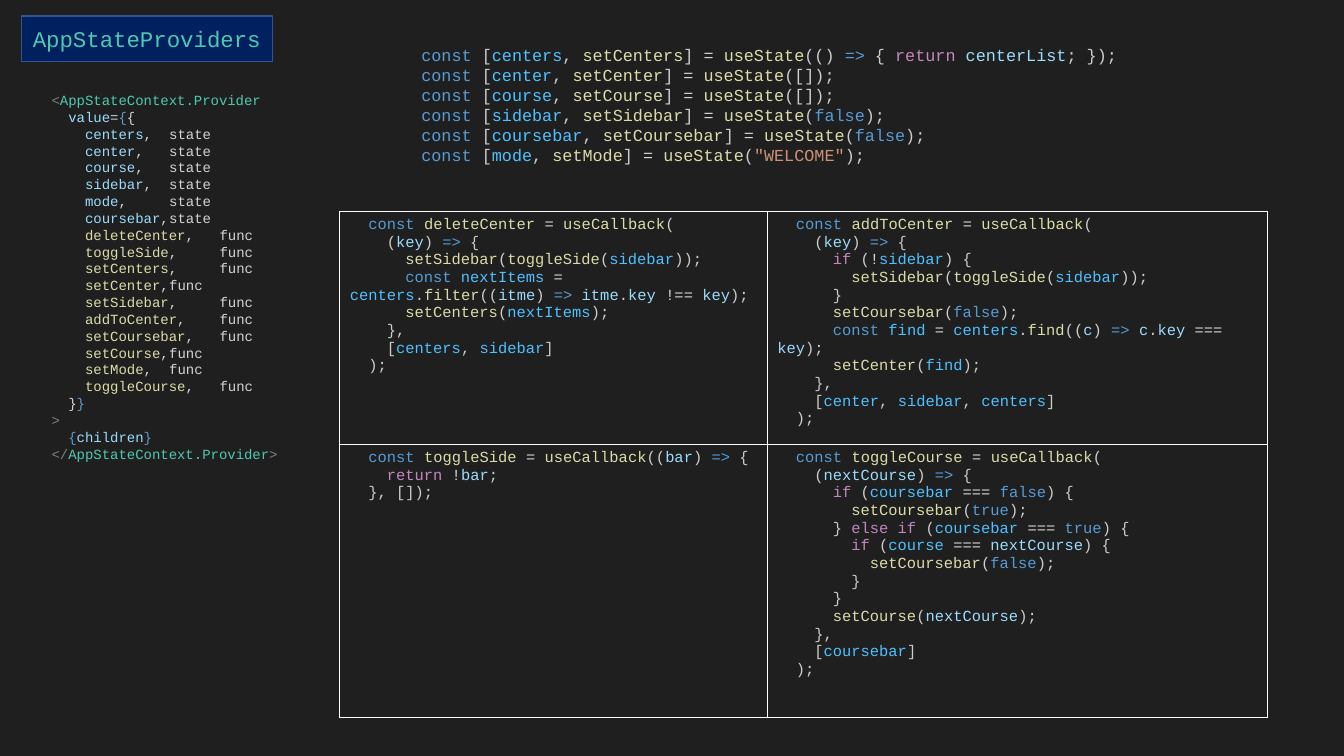
from itertools import groupby
from lxml.etree import SubElement
from pptx import Presentation
from pptx.dml.color import RGBColor
from pptx.enum.shapes import MSO_SHAPE
from pptx.enum.text import MSO_ANCHOR, MSO_AUTO_SIZE, PP_ALIGN
from pptx.oxml import parse_xml
from pptx.oxml.ns import nsdecls, qn
from pptx.util import Inches, Pt

rgb = RGBColor.from_string
PLAIN, PALE, GREY, BLUE = "CCCCCC", "D4D4D4", "808080", "569CD6"
SKY, CYAN, SAND, TEAL = "9CDCFE", "4FC1FF", "DCDCAA", "4EC9B0"

# Colour of each word in the code
groups = {
    BLUE: "const => true false",
    "C586C0": "return if else",
    PALE: "= === !== !",
    "CE9178": '"WELCOME"',
    SKY: "key itme c bar nextCourse centerList",
    CYAN: "centers center course sidebar coursebar mode nextItems find",
    SAND: "setCenters setCenter setCourse setSidebar setCoursebar setMode useState "
          "useCallback deleteCenter addToCenter toggleSide toggleCourse filter",
}
hues = {word: hue for hue, words in groups.items() for word in words.split()}


def lex(code):
    """Split each line into its indent and coloured runs."""
    rows = []
    for line in code.strip("\n").split("\n"):
        body = line.lstrip()
        runs, last = [], ""
        for _, part in groupby(body, lambda ch: 1 if ch.isalnum() or ch == '"' else 2 if ch in "=!>" else 3):
            word = "".join(part)
            called = word == "find" and last.endswith(".")
            runs.append((word, SAND if called else hues.get(word, PLAIN)))
            last = word
        rows.append((len(line) - len(body), runs))
    return rows


def write(frame, rows, size, stop=None):
    """Fill a frame with code; one indent step is one letter wide."""
    for i, (step, runs) in enumerate(rows):
        para = frame.paragraphs[0] if i == 0 else frame.add_paragraph()
        props = para._p.get_or_add_pPr()
        props.set("marL", "0")
        props.set("indent", str(int(Pt(size) * 0.6 * step)))
        if stop:
            tabs = SubElement(props, qn("a:tabLst"))
            SubElement(tabs, qn("a:tab"), pos=str(stop), algn="r")
        for text, hue in runs:
            run = para.add_run()
            run.text = text
            run.font.name, run.font.size = "Courier New", Pt(size)
            run.font.color.rgb = rgb(hue)


deck = Presentation()
deck.slide_width, deck.slide_height = Inches(13.33), Inches(7.5)
wide, high = deck.slide_width / 100, deck.slide_height / 100
slide = deck.slides.add_slide(deck.slide_layouts[6])
slide.background.fill.solid()
slide.background.fill.fore_color.rgb = rgb("1F1F1F")

# Title
title = slide.shapes.add_shape(MSO_SHAPE.RECTANGLE, int(1.58 * wide), int(2.13 * high),
                               int(18.68 * wide), int(6 * high))
title.shadow.inherit = False
title.fill.solid()
title.fill.fore_color.rgb = rgb("002060")
title.line.color.rgb = rgb("325491")
title.line.width = Pt(1)
title.text_frame.vertical_anchor = MSO_ANCHOR.MIDDLE
write(title.text_frame, [(0, [("AppStateProviders", TEAL)])], 16)
title.text_frame.paragraphs[0].alignment = PP_ALIGN.CENTER

# Provider panel: state names, then function names
states = "centers center course sidebar mode coursebar"
funcs = ("deleteCenter toggleSide setCenters setCenter setSidebar addToCenter "
         "setCoursebar setCourse setMode toggleCourse")
values = [(8, [(name, hue), (",\t" + kind, PALE)])
          for names, hue, kind in [(states, SKY, "state"), (funcs, SAND, "func")]
          for name in names.split()]
tag = ("AppStateContext.Provider", TEAL)
panel = [
    (4, [("<", GREY), tag]),
    (6, [("value", SKY), ("=", PALE), ("{", BLUE), ("{", PALE)]),
    *values,
    (6, [("}", PALE), ("}", BLUE)]),
    (4, [(">", GREY)]),
    (6, [("{", BLUE), ("children", SKY), ("}", BLUE)]),
    (4, [("</", GREY), tag, (">", GREY)]),
]

# State hooks
hooks = lex("""
  const [centers, setCenters] = useState(() => { return centerList; });
  const [center, setCenter] = useState([]);
  const [course, setCourse] = useState([]);
  const [sidebar, setSidebar] = useState(false);
  const [coursebar, setCoursebar] = useState(false);
  const [mode, setMode] = useState("WELCOME");
""")

for x, y, w, h, rows, size, stop in [
    (0.6, 11.47, 22.66, 50.67, panel, 10, Inches(2.42)),
    (29.11, 5.2, 56.56, 17.47, hooks, 12, None),
]:
    box = slide.shapes.add_textbox(int(x * wide), int(y * high), int(w * wide), int(h * high))
    box.text_frame.word_wrap = True
    box.text_frame.auto_size = MSO_AUTO_SIZE.SHAPE_TO_FIT_TEXT
    write(box.text_frame, rows, size, stop)

# Callback table
calls = ["""
  const deleteCenter = useCallback(
    (key) => {
      setSidebar(toggleSide(sidebar));
      const nextItems = centers.filter((itme) => itme.key !== key);
      setCenters(nextItems);
    },
    [centers, sidebar]
  );
""", """
  const addToCenter = useCallback(
    (key) => {
      if (!sidebar) {
        setSidebar(toggleSide(sidebar));
      }
      setCoursebar(false);
      const find = centers.find((c) => c.key === key);
      setCenter(find);
    },
    [center, sidebar, centers]
  );
""", """
  const toggleSide = useCallback((bar) => {
    return !bar;
  }, []);
""", """
  const toggleCourse = useCallback(
    (nextCourse) => {
      if (coursebar === false) {
        setCoursebar(true);
      } else if (coursebar === true) {
        if (course === nextCourse) {
          setCoursebar(false);
        }
      }
      setCourse(nextCourse);
    },
    [coursebar]
  );
"""]
table = slide.shapes.add_table(2, 2, int(25.28 * wide), int(28 * high),
                               int(69.02 * wide), int(66.93 * high)).table
table.first_row = table.horz_banding = False
for col, share in zip(table.columns, (31.81, 37.21)):
    col.width = int(share * wide)
for row, share in zip(table.rows, (30.8, 36.13)):
    row.height = int(share * high)
for cell, code in zip(table.iter_cells(), calls):
    props = cell._tc.get_or_add_tcPr()
    for side in "LRTB":
        props.append(parse_xml(
            f'<a:ln{side} {nsdecls("a")} w="12700"><a:solidFill>'
            f'<a:srgbClr val="FFFFFF"/></a:solidFill></a:ln{side}>'))
    cell.fill.background()
    write(cell.text_frame, lex(code), 11)

deck.save("out.pptx")
